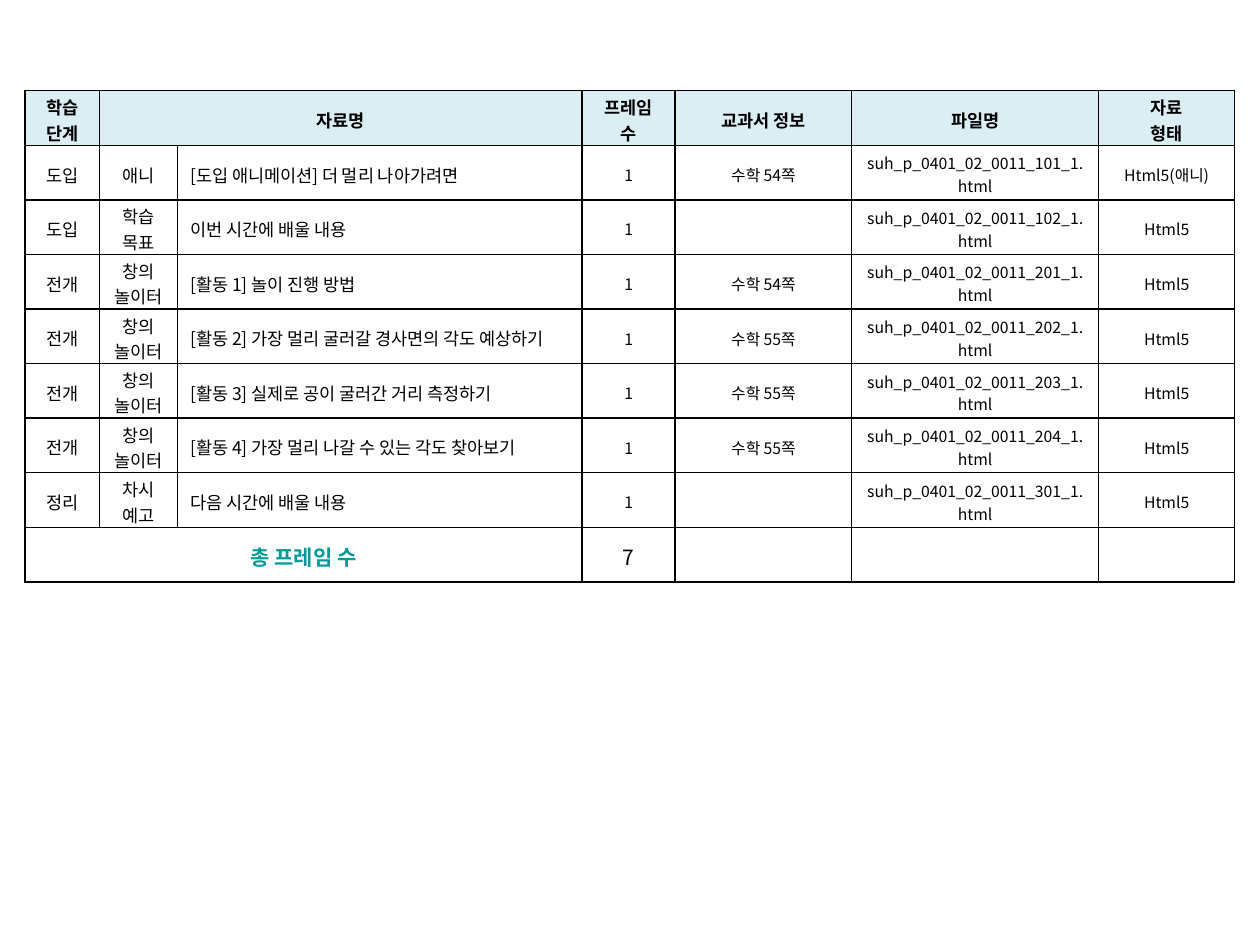
import pptx
import pptx.dml.color
import pptx.enum.text
import pptx.oxml
import pptx.oxml.ns
import pptx.util

Inches = pptx.util.Inches
FONT = "Noto Sans CJK KR"
COLUMN_WIDTHS = [0.59, 0.62, 3.21, 0.74, 1.4, 1.96, 1.08]
NAME_COLUMN = 2
HEADER = ["학습 단계", "자료명", "", "프레임 수", "교과서 정보", "파일명", "자료\n형태"]
TOTAL = ["총 프레임 수", "", "", "7", "", "", ""]
# stage, section, material name, textbook page, file number, file type
MATERIALS = [
    ("도입", "애니", "[도입 애니메이션] 더 멀리 나아가려면", "수학 54쪽", 101, "Html5(애니)"),
    ("도입", "학습 목표", "이번 시간에 배울 내용", "", 102, "Html5"),
    ("전개", "창의\n놀이터", "[활동 1] 놀이 진행 방법", "수학 54쪽", 201, "Html5"),
    ("전개", "창의\n놀이터", "[활동 2] 가장 멀리 굴러갈 경사면의 각도 예상하기", "수학 55쪽", 202, "Html5"),
    ("전개", "창의\n놀이터", "[활동 3] 실제로 공이 굴러간 거리 측정하기", "수학 55쪽", 203, "Html5"),
    ("전개", "창의 놀이터", "[활동 4] 가장 멀리 나갈 수 있는 각도 찾아보기", "수학 55쪽", 204, "Html5"),
    ("정리", "차시 예고", "다음 시간에 배울 내용", "", 301, "Html5"),
]


def color(value):
    return pptx.dml.color.RGBColor.from_string(value)


def set_text(text_frame, text, size=10, bold=False, ink="000000", align="CENTER"):
    """Write each line of the text as a formatted paragraph."""
    for index, line in enumerate(text.split("\n")):
        paragraph = text_frame.add_paragraph() if index else text_frame.paragraphs[0]
        paragraph.alignment = getattr(pptx.enum.text.PP_ALIGN, align)
        if not line:
            continue
        run = paragraph.add_run()
        run.text = line
        run.font.size = pptx.util.Pt(size)
        run.font.bold = bold
        run.font.name = FONT
        run.font.color.rgb = color(ink)
        east_asian = pptx.oxml.parse_xml(
            f'<a:ea {pptx.oxml.ns.nsdecls("a")} typeface="{FONT}"/>')
        run.font._element.find(pptx.oxml.ns.qn("a:latin")).addnext(east_asian)


def set_borders(cell, width=1, ink="000000"):
    properties = cell._tc.get_or_add_tcPr()
    for index, side in enumerate(("lnL", "lnR", "lnT", "lnB")):
        properties.insert(index, pptx.oxml.parse_xml(
            f'<a:{side} {pptx.oxml.ns.nsdecls("a")} w="{pptx.util.Pt(width)}">'
            f'<a:solidFill><a:srgbClr val="{ink}"/></a:solidFill></a:{side}>'))


def format_cell(cell, fill=None):
    cell.vertical_anchor = pptx.enum.text.MSO_ANCHOR.MIDDLE
    # Two lines of text have to fit the row height
    cell.margin_top, cell.margin_bottom = Inches(0.03), 0
    if fill:
        cell.fill.solid()
        cell.fill.fore_color.rgb = color(fill)
    else:
        cell.fill.background()
    set_borders(cell)


def text_format(row, column, last_row):
    if row == 0:
        return {"bold": True}
    if row == last_row:
        return {"size": 12, "bold": column == 0,
                "ink": "009999" if column == 0 else "000000"}
    return {"size": 10 if column <= NAME_COLUMN else 9,
            "align": "LEFT" if column == NAME_COLUMN else "CENTER"}


def add_material_table(slide, left, top, width, height):
    rows = [HEADER]
    for stage, section, name, page, number, kind in MATERIALS:
        rows.append([stage, section, name, "1", page,
                     f"suh_p_0401_02_0011_{number}_1.html", kind])
    rows.append(TOTAL)
    last_row = len(rows) - 1

    table = slide.shapes.add_table(
        len(rows), len(COLUMN_WIDTHS), left, top, width, height).table
    table.first_row = table.horz_banding = False
    for column, column_width in zip(table.columns, COLUMN_WIDTHS):
        column.width = Inches(column_width)
    for row, texts in enumerate(rows):
        table.rows[row].height = height // len(rows)
        for column, text in enumerate(texts):
            cell = table.cell(row, column)
            format_cell(cell, fill="DBEEF4" if row == 0 else None)
            set_text(cell.text_frame, text, **text_format(row, column, last_row))
    table.cell(0, 1).merge(table.cell(0, NAME_COLUMN))
    table.cell(last_row, 0).merge(table.cell(last_row, NAME_COLUMN))


def main():
    presentation = pptx.Presentation()
    presentation.slide_width, presentation.slide_height = Inches(10), Inches(7.5)
    slide = presentation.slides.add_slide(presentation.slide_layouts[6])
    add_material_table(slide, Inches(0.2), Inches(0.72), Inches(9.6), Inches(3.9))
    presentation.save("out.pptx")


if __name__ == "__main__":
    main()
